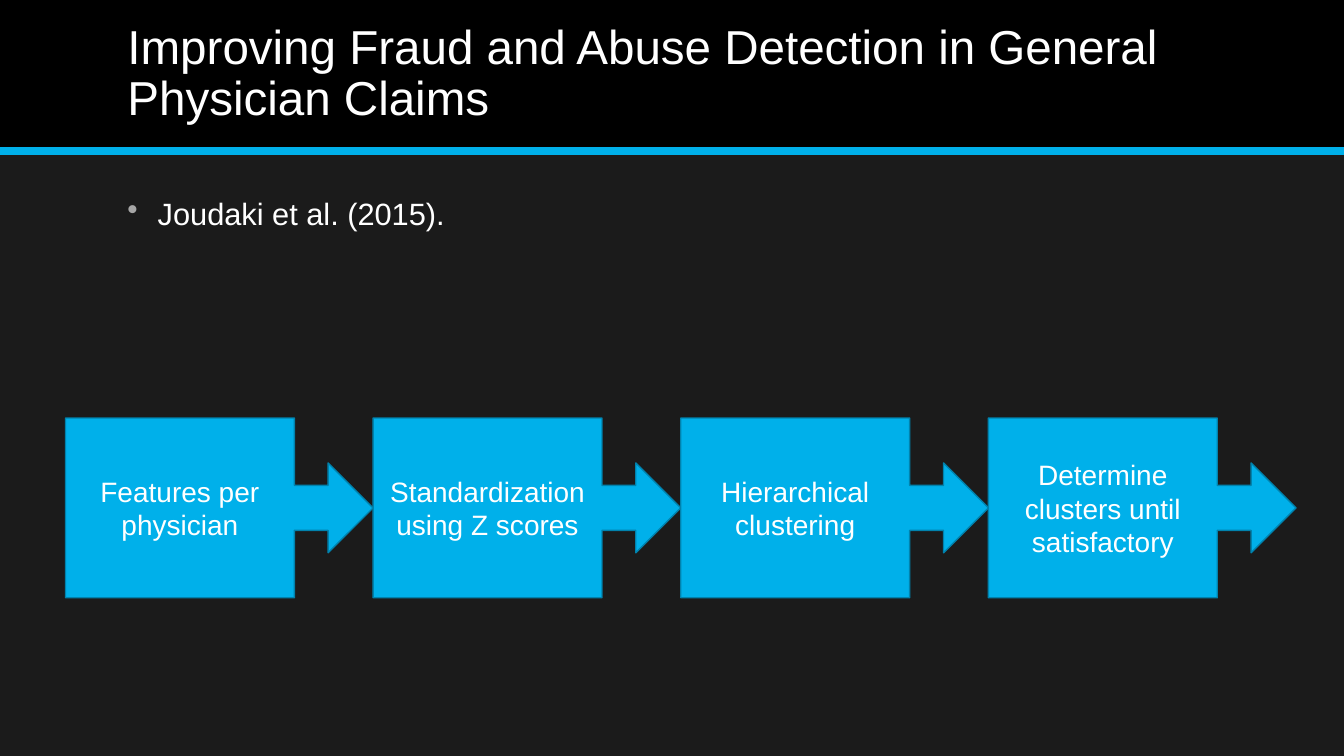
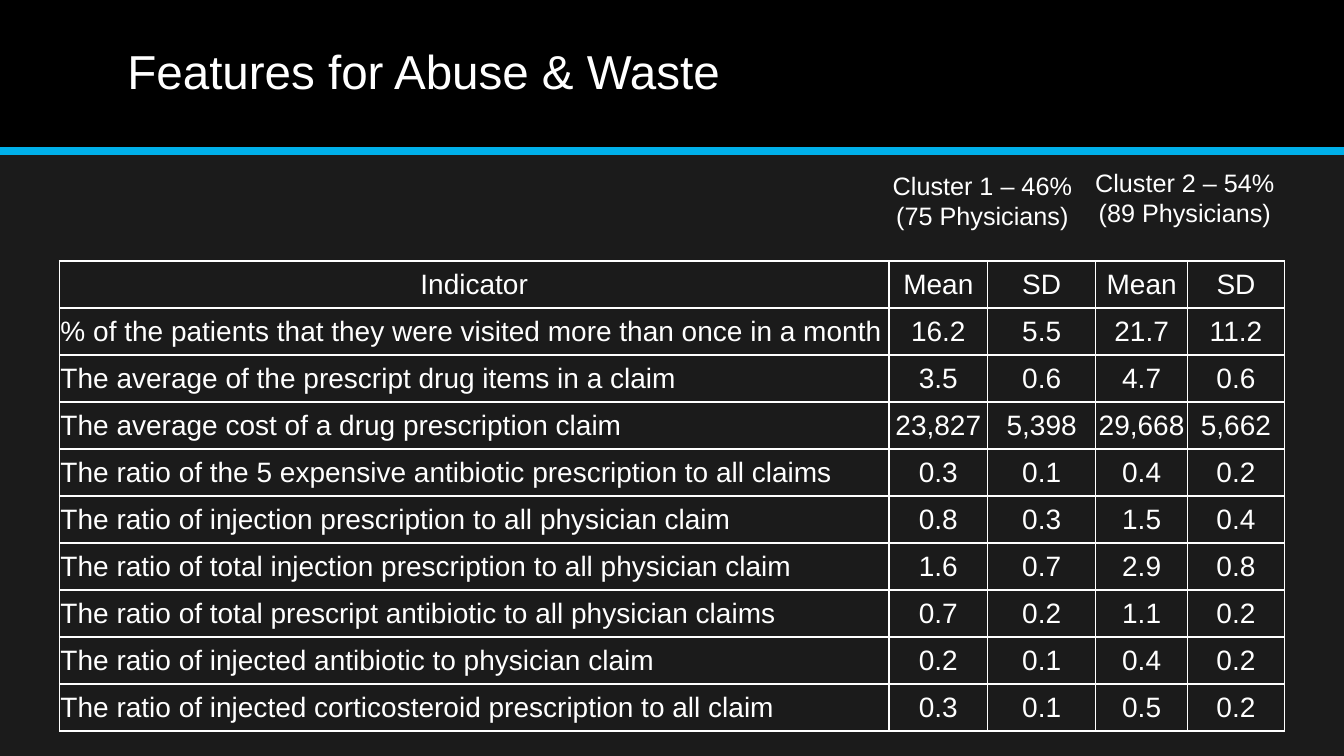
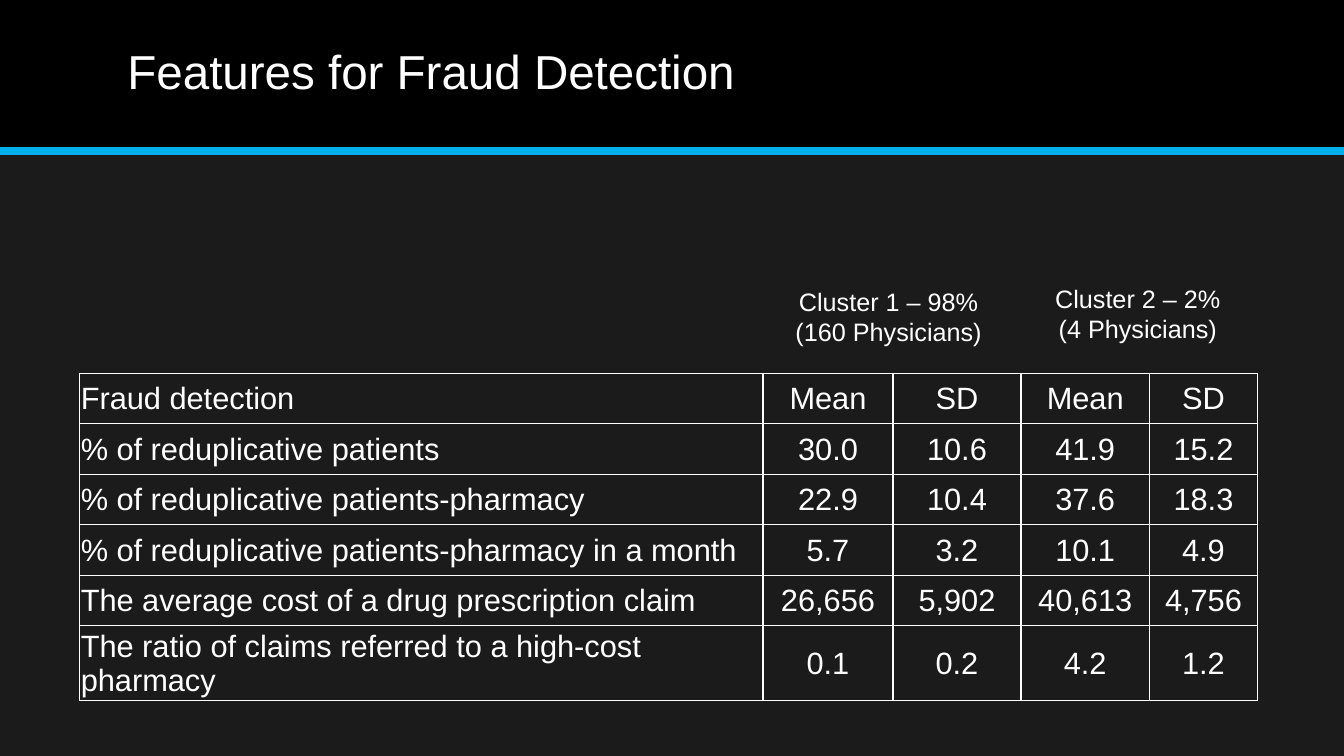
from lxml.etree import SubElement
from pptx import Presentation
from pptx.dml.color import RGBColor
from pptx.enum.shapes import MSO_CONNECTOR, MSO_SHAPE
from pptx.enum.text import MSO_ANCHOR, PP_ALIGN
from pptx.oxml.ns import qn
from pptx.util import Pt

COLOURS = {
    "background": "1B1B1B",
    "band": "000000",
    "accent": "00B0EA",
    "outline": "0082AD",
    "bullet": "A6A6A6",
    "text": "FFFFFF",
}
FONT = "Arial"
PAGE_WIDTH, PAGE_HEIGHT = 960, 540
BAND = (0, 0, PAGE_WIDTH, 108)


def colour(name):
    return RGBColor.from_string(COLOURS[name])


def points(*lengths):
    return [Pt(length) for length in lengths]


def add_bullet(para, indent):
    properties = para._p.get_or_add_pPr()
    properties.set("marL", str(Pt(indent)))
    properties.set("indent", str(-Pt(indent)))
    tint = SubElement(properties, qn("a:buClr"))
    SubElement(tint, qn("a:srgbClr"), val=COLOURS["bullet"])
    SubElement(properties, qn("a:buChar"), char="•")


def write_text(frame, text, size=20, align=PP_ALIGN.LEFT, anchor=MSO_ANCHOR.TOP,
               spacing=1.0, bullet_indent=None):
    frame.word_wrap = True
    frame.vertical_anchor = anchor
    for index, line in enumerate(text.split("\n")):
        para = frame.add_paragraph() if index else frame.paragraphs[0]
        para.alignment = align
        para.line_spacing = spacing
        if bullet_indent:
            add_bullet(para, bullet_indent)
        span = para.add_run()
        span.text = line
        span.font.name = FONT
        span.font.size = Pt(size)
        span.font.bold = False
        span.font.color.rgb = colour("text")


def add_text(page, box, text, **text_format):
    write_text(page.shapes.add_textbox(*points(*box)).text_frame, text, **text_format)


def add_block(page, box, preset, fill, outline=None):
    block = page.shapes.add_shape(preset, *points(*box))
    block.shadow.inherit = False
    block.fill.solid()
    block.fill.fore_color.rgb = colour(fill)
    if outline:
        block.line.color.rgb = colour(outline)
        block.line.width = Pt(1)
    else:
        block.line.fill.background()
    return block


def add_title_band(page, box, title):
    left, top, width, height = box
    add_block(page, box, MSO_SHAPE.RECTANGLE, "band")
    bottom = top + height
    rule = page.shapes.add_connector(
        MSO_CONNECTOR.STRAIGHT, *points(left, bottom, left + width, bottom))
    rule.line.color.rgb = colour("accent")
    rule.line.width = Pt(6)
    SubElement(rule._element.spPr, qn("a:effectLst"))
    add_text(page, (left + 84, top + 10, width - 168, height - 21.6), title,
             size=34, anchor=MSO_ANCHOR.MIDDLE, spacing=0.9)


def add_page(deck, title):
    page = deck.slides.add_slide(deck.slide_layouts[6])
    page.background.fill.solid()
    page.background.fill.fore_color.rgb = colour("background")
    add_title_band(page, BAND, title)
    return page


def add_process(page, box, steps):
    left, top, width, height = box
    step_width = width / len(steps)
    for index, step in enumerate(steps):
        callout = add_block(page, (left + index * step_width, top, step_width, height),
                            MSO_SHAPE.RIGHT_ARROW_CALLOUT, "accent", "outline")
        for position, value in enumerate((0.25, 0.25, 0.25, 0.744)):
            callout.adjustments[position] = value
        write_text(callout.text_frame, step, align=PP_ALIGN.CENTER,
                   anchor=MSO_ANCHOR.MIDDLE)


def format_cell(cell):
    cell.margin_left = cell.margin_right = cell.margin_top = Pt(0.72)
    cell.margin_bottom = 0
    cell.vertical_anchor = MSO_ANCHOR.MIDDLE
    properties = cell._tc.get_or_add_tcPr()
    for side in ("lnL", "lnR", "lnT", "lnB"):
        border = SubElement(properties, qn(f"a:{side}"), w=str(Pt(1)))
        fill = SubElement(border, qn("a:solidFill"))
        SubElement(fill, qn("a:srgbClr"), val=COLOURS["text"])
    cell.fill.background()


def add_feature_table(page, origin, widths, heights, rows, size, centre_heading=False):
    box = (*origin, sum(widths), sum(heights))
    table = page.shapes.add_table(len(rows), len(widths), *points(*box)).table
    table.first_row = table.horz_banding = False
    for column, width in zip(table.columns, widths):
        column.width = Pt(width)
    for row, height in zip(table.rows, heights):
        row.height = Pt(height)
    for row_index, values in enumerate(rows):
        for column_index, value in enumerate(values):
            centred = column_index > 0 or (row_index == 0 and centre_heading)
            cell = table.cell(row_index, column_index)
            write_text(cell.text_frame, value, size=size,
                       align=PP_ALIGN.CENTER if centred else PP_ALIGN.LEFT)
            format_cell(cell)


def add_cluster_captions(page, box, gap, captions):
    left, top, width, height = box
    for index, caption in enumerate(captions):
        add_text(page, (left + index * (width + gap), top - index * 2.2, width, height),
                 caption, size=18, align=PP_ALIGN.CENTER)


def build_process_page(deck):
    page = add_page(deck, "Improving Fraud and Abuse Detection in General Physician Claims")
    add_text(page, (84, 135.4, 792, 129.6), "Joudaki et al. (2015).",
             size=22, bullet_indent=21.6)
    add_process(page, (46.8, 298.6, 879, 128.4), [
        "Features per physician",
        "Standardization using Z scores",
        "Hierarchical clustering",
        "Determine clusters until satisfactory",
    ])


def build_abuse_page(deck):
    page = add_page(deck, "Features for Abuse & Waste")
    rows = [
        ("Indicator", "Mean", "SD", "Mean", "SD"),
        ("% of the patients that they were visited more than once in a month",
         "16.2", "5.5", "21.7", "11.2"),
        ("The average of the prescript drug items in a claim", "3.5", "0.6", "4.7", "0.6"),
        ("The average cost of a drug prescription claim",
         "23,827", "5,398", "29,668", "5,662"),
        ("The ratio of the 5 expensive antibiotic prescription to all claims",
         "0.3", "0.1", "0.4", "0.2"),
        ("The ratio of injection prescription to all physician claim",
         "0.8", "0.3", "1.5", "0.4"),
        ("The ratio of total injection prescription to all physician claim",
         "1.6", "0.7", "2.9", "0.8"),
        ("The ratio of total prescript antibiotic to all physician claims",
         "0.7", "0.2", "1.1", "0.2"),
        ("The ratio of injected antibiotic to physician claim", "0.2", "0.1", "0.4", "0.2"),
        ("The ratio of injected corticosteroid prescription to all claim",
         "0.3", "0.1", "0.5", "0.2"),
    ]
    add_feature_table(page, (42.5, 186.5), (592.5, 70.5, 77.2, 65.6, 69.2),
                      [33.57] * len(rows), rows, size=20, centre_heading=True)
    add_cluster_captions(page, (616, 118, 171.4, 51), -26.8,
                         ["Cluster 1 – 46%\n(75 Physicians)",
                          "Cluster 2 – 54%\n(89 Physicians)"])


def build_fraud_page(deck):
    page = add_page(deck, "Features for Fraud Detection")
    rows = [
        ("Fraud detection", "Mean", "SD", "Mean", "SD"),
        ("% of reduplicative patients", "30.0", "10.6", "41.9", "15.2"),
        ("% of reduplicative patients-pharmacy", "22.9", "10.4", "37.6", "18.3"),
        ("% of reduplicative patients-pharmacy in a month", "5.7", "3.2", "10.1", "4.9"),
        ("The average cost of a drug prescription claim",
         "26,656", "5,902", "40,613", "4,756"),
        ("The ratio of claims referred to a high-cost pharmacy",
         "0.1", "0.2", "4.2", "1.2"),
    ]
    add_feature_table(page, (57, 266.5), (488, 92.9, 91.4, 91.8, 77.2),
                      [36.1] * 5 + [49.8], rows, size=22)
    add_cluster_captions(page, (549, 201, 171.4, 51), 6.6,
                         ["Cluster 1 – 98%\n(160 Physicians)",
                          "Cluster 2 – 2%\n(4 Physicians)"])


def main():
    deck = Presentation()
    deck.slide_width, deck.slide_height = points(PAGE_WIDTH, PAGE_HEIGHT)
    build_process_page(deck)
    build_abuse_page(deck)
    build_fraud_page(deck)
    deck.save("out.pptx")


if __name__ == "__main__":
    main()
